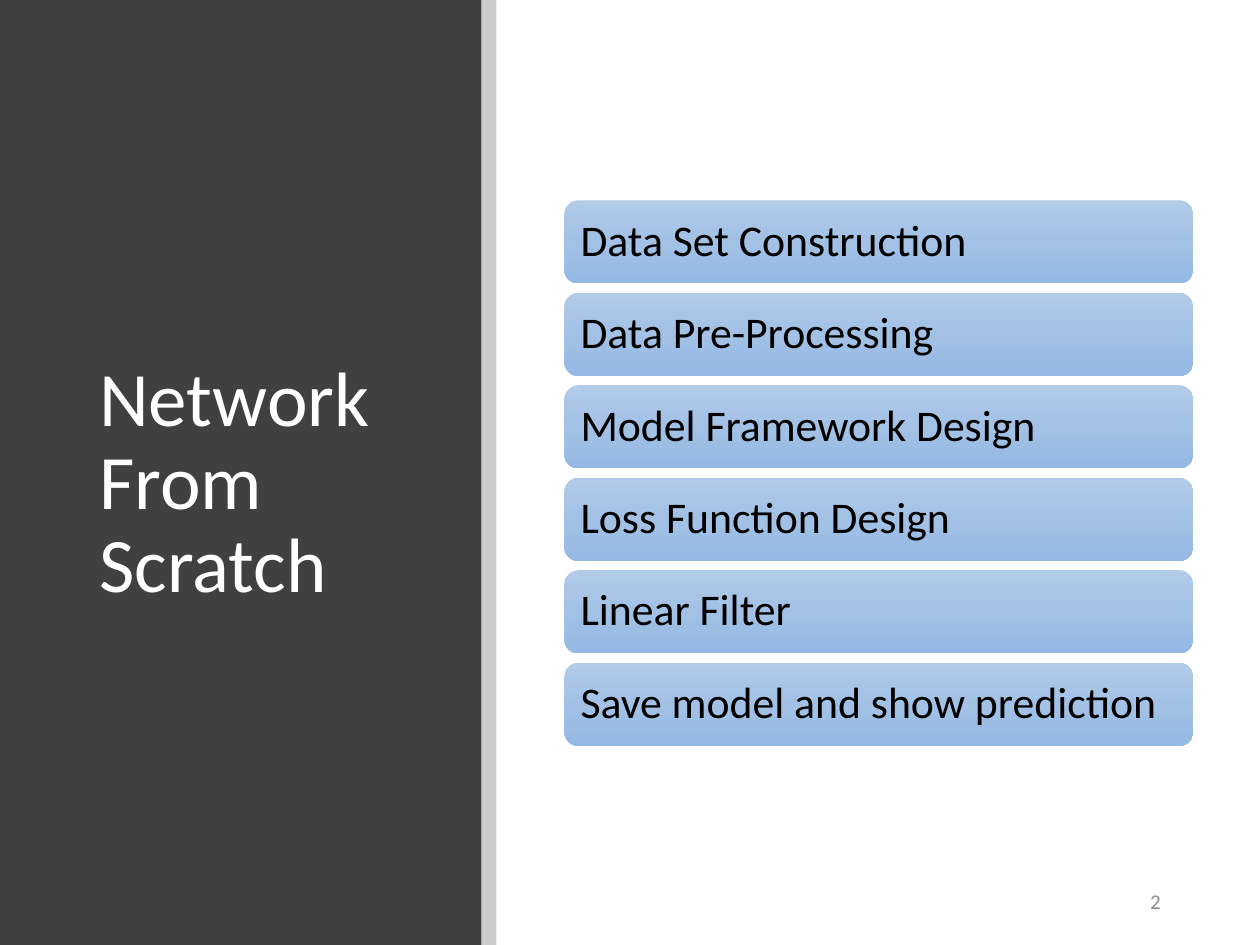
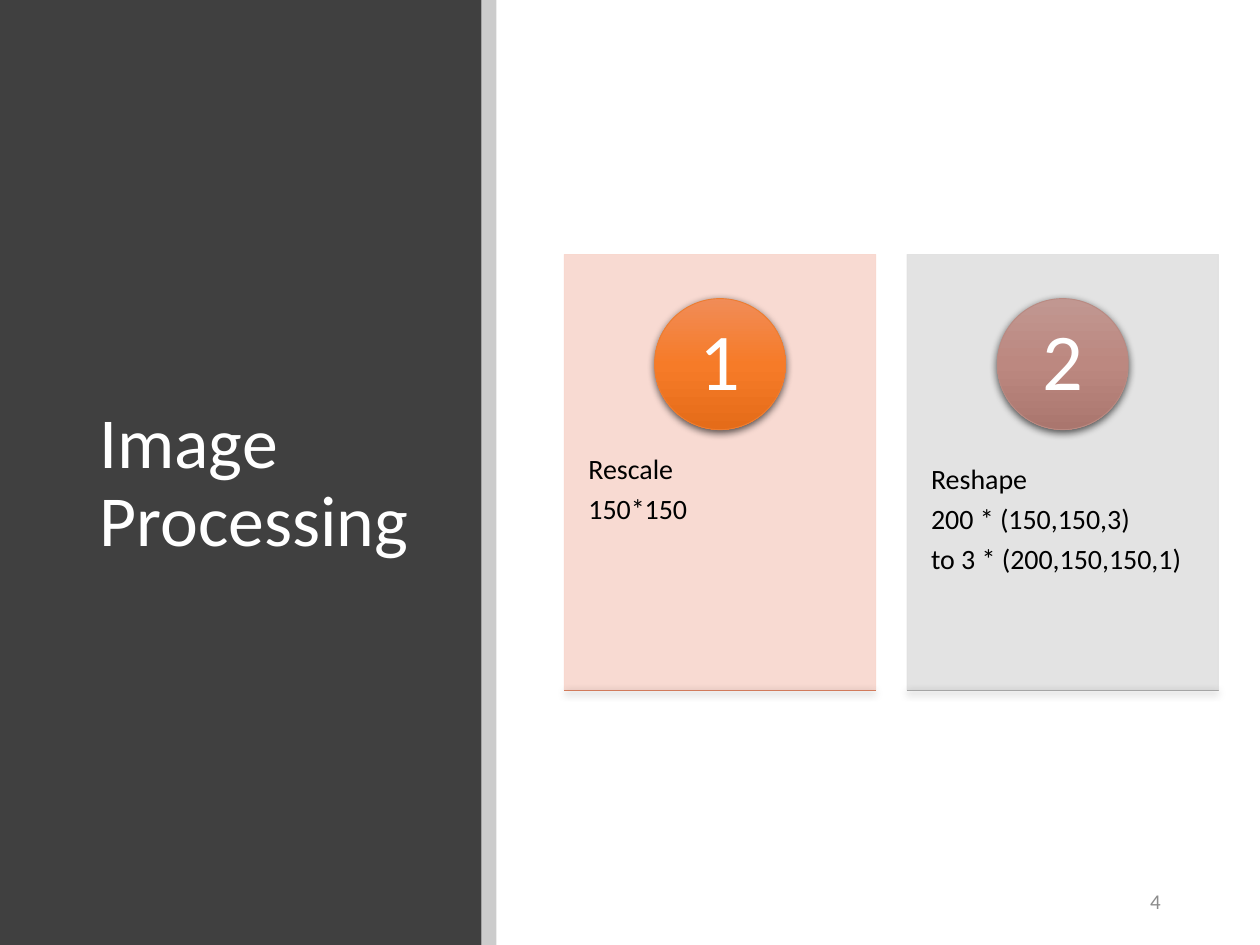
from lxml import etree
from pptx import Presentation
from pptx.dml.color import RGBColor
from pptx.enum.shapes import MSO_SHAPE
from pptx.enum.text import MSO_ANCHOR, PP_ALIGN
from pptx.oxml.ns import qn
from pptx.util import Inches, Pt

RECTANGLE, ROUNDED, OVAL = MSO_SHAPE.RECTANGLE, MSO_SHAPE.ROUNDED_RECTANGLE, MSO_SHAPE.OVAL
TOP, MIDDLE = MSO_ANCHOR.TOP, MSO_ANCHOR.MIDDLE
LEFT, CENTER, RIGHT = PP_ALIGN.LEFT, PP_ALIGN.CENTER, PP_ALIGN.RIGHT

FONT = "Calibri"
BLACK = RGBColor(0x00, 0x00, 0x00)
WHITE = RGBColor(0xFF, 0xFF, 0xFF)
PANEL = RGBColor(0x40, 0x40, 0x40)
NUMBER_GRAY = RGBColor(0x8C, 0x8C, 0x8C)
PEACH = RGBColor(0xF8, 0xD7, 0xCE)
LIGHT_GRAY = RGBColor(0xE1, 0xE1, 0xE1)
ORANGE = RGBColor(0xED, 0x7D, 0x31)
RUST = RGBColor(0xD1, 0x7B, 0x5C)
ROSE = RGBColor(0xB9, 0x8A, 0x82)
GRAY = RGBColor(0xA5, 0xA5, 0xA5)
BLUE_SHADES = [RGBColor.from_string(c) for c in ("B1CBE9", "A3C1E5", "93B9E4")]
ORANGE_SHADES = [RGBColor.from_string(c) for c in ("F18C57", "F67B28", "E56C19")]
RUST_SHADES = [RGBColor.from_string(c) for c in ("D78B72", "D77956", "C66846")]
ROSE_SHADES = [RGBColor.from_string(c) for c in ("C19791", "BC8880", "AA766E")]
GRAY_SHADES = [RGBColor.from_string(c) for c in ("AFAFAF", "A5A5A5", "939393")]

STEPS = [
    "Data Set Construction",
    "Data Pre-Processing",
    "Model Framework Design",
    "Loss Function Design",
    "Linear Filter",
    "Save model and show prediction",
]
CARDS = [
    {"number": "1", "lines": ["Rescale", "150*150"], "fill": PEACH,
     "circle": (ORANGE_SHADES, ORANGE), "base": (RUST_SHADES, RUST)},
    {"number": "2", "lines": ["Reshape", "200 * (150,150,3)", "to 3 * (200,150,150,1)"],
     "fill": LIGHT_GRAY, "circle": (ROSE_SHADES, ROSE), "base": (GRAY_SHADES, GRAY)},
]

SLIDE_WIDTH, SLIDE_HEIGHT = 10, 7.5
PANEL_WIDTH, STRIPE_WIDTH = 3.82, 0.12
CONTENT_LEFT = 4.48
BAR_WIDTH, BAR_HEIGHT, BAR_MARGIN = 4.99, 0.66, 0.03
BARS_TOP, BARS_BOTTOM = 1.59, 5.92
CARD_TOP, CARD_WIDTH, CARD_HEIGHT, CARD_GAP = 2.02, 2.47, 3.46, 0.25
CARD_TEXT_OFFSET, CARD_TEXT_HEIGHT = 0.38 * CARD_HEIGHT, 0.6 * CARD_HEIGHT
CIRCLE_SIZE, CIRCLE_OFFSET = 1.04, 0.35
CIRCLE_MARGIN = 0.15


def set_alpha(color_format_parent, percent):
    color = color_format_parent.find(".//" + qn("a:srgbClr"))
    etree.SubElement(color, qn("a:alpha")).set("val", str(percent * 1000))


def set_gradient(shape, shades):
    shape.fill.gradient()
    shape.fill.gradient_angle = 270
    stops = shape._element.spPr.find(".//" + qn("a:gsLst"))
    for stop in list(stops):
        stops.remove(stop)
    for index, shade in enumerate(shades):
        stop = etree.SubElement(stops, qn("a:gs"), pos=str(index * 50000))
        etree.SubElement(stop, qn("a:srgbClr"), val=str(shade))


def add_shadow(shape):
    effects = shape._element.spPr.find(qn("a:effectLst"))
    shadow = etree.SubElement(effects, qn("a:outerShdw"), blurRad=str(Pt(4.5)),
                              dist=str(Pt(1.5)), dir="5400000", algn="ctr", rotWithShape="0")
    etree.SubElement(shadow, qn("a:srgbClr"), val=str(BLACK))
    set_alpha(shadow, 63)


def add_block(slide, kind, box, fill, line=None, alpha=None, shadow=False):
    shape = slide.shapes.add_shape(kind, *map(Inches, box))
    shape.shadow.inherit = False
    if isinstance(fill, list):
        set_gradient(shape, fill)
    else:
        shape.fill.solid()
        shape.fill.fore_color.rgb = fill
    if line is None:
        shape.line.fill.background()
    else:
        shape.line.color.rgb = line
        shape.line.width = Pt(0.5)
    if alpha is not None:
        set_alpha(shape._element.spPr.find(qn("a:solidFill")), alpha)
        if line is not None:
            set_alpha(shape._element.spPr.find(qn("a:ln")), alpha)
    if shadow:
        add_shadow(shape)


def add_text(slide, box, lines, size, color, align=LEFT, anchor=MIDDLE,
             insets=(0.1, 0.05), spacing=0.9, after=0):
    text_frame = slide.shapes.add_textbox(*map(Inches, box)).text_frame
    text_frame.word_wrap = True
    text_frame.vertical_anchor = anchor
    text_frame.margin_left = text_frame.margin_right = Inches(insets[0])
    text_frame.margin_top = text_frame.margin_bottom = Inches(insets[1])
    text_frame.text = "\n".join(lines)
    for paragraph in text_frame.paragraphs:
        paragraph.alignment = align
        paragraph.line_spacing = spacing
        paragraph.space_after = Pt(size * after)
        for run in paragraph.runs:
            run.font.name = FONT
            run.font.size = Pt(size)
            run.font.color.rgb = color


def add_base_slide(presentation, title, title_size, title_width, number):
    slide = presentation.slides.add_slide(presentation.slide_layouts[6])
    add_block(slide, RECTANGLE, (0, 0, PANEL_WIDTH, SLIDE_HEIGHT), PANEL)
    add_text(slide, (0.69, 0.89, title_width, 5.91), [title], title_size, WHITE)
    add_block(slide, RECTANGLE, (PANEL_WIDTH, 0, STRIPE_WIDTH, SLIDE_HEIGHT), BLACK, alpha=20)
    add_text(slide, (7.06, 6.95, 2.25, 0.4), [number], 12, NUMBER_GRAY, RIGHT, spacing=1.0)
    return slide


def add_steps(slide):
    pitch = (BARS_BOTTOM - BARS_TOP - BAR_HEIGHT) / (len(STEPS) - 1)
    for index, step in enumerate(STEPS):
        top = BARS_TOP + index * pitch
        add_block(slide, ROUNDED, (CONTENT_LEFT, top, BAR_WIDTH, BAR_HEIGHT), BLUE_SHADES)
        text_box = (CONTENT_LEFT + BAR_MARGIN, top + BAR_MARGIN,
                    BAR_WIDTH - 2 * BAR_MARGIN, BAR_HEIGHT - 2 * BAR_MARGIN)
        add_text(slide, text_box, [step], 25, BLACK, insets=(0.1, 0.1), after=0.35)


def add_cards(slide):
    for index, card in enumerate(CARDS):
        left = CONTENT_LEFT + index * (CARD_WIDTH + CARD_GAP)
        add_block(slide, RECTANGLE, (left, CARD_TOP, CARD_WIDTH, CARD_HEIGHT),
                  card["fill"], card["fill"], alpha=90)
        add_text(slide, (left, CARD_TOP + CARD_TEXT_OFFSET, CARD_WIDTH, CARD_TEXT_HEIGHT),
                 card["lines"], 16, BLACK, anchor=TOP, insets=(0.19, 0.36), after=0.35)
        circle_left = left + (CARD_WIDTH - CIRCLE_SIZE) / 2
        circle_top = CARD_TOP + CIRCLE_OFFSET
        add_block(slide, OVAL, (circle_left, circle_top, CIRCLE_SIZE, CIRCLE_SIZE),
                  *card["circle"], shadow=True)
        number_size = CIRCLE_SIZE - 2 * CIRCLE_MARGIN
        add_text(slide, (circle_left + CIRCLE_MARGIN, circle_top + CIRCLE_MARGIN,
                         number_size, number_size),
                 [card["number"]], 46, WHITE, CENTER, insets=(0.08, 0.01), after=0.35)
        add_block(slide, RECTANGLE, (left, CARD_TOP + CARD_HEIGHT, CARD_WIDTH, 0),
                  *card["base"], shadow=True)


presentation = Presentation()
presentation.slide_width = Inches(SLIDE_WIDTH)
presentation.slide_height = Inches(SLIDE_HEIGHT)
add_steps(add_base_slide(presentation, "Network From Scratch", 44, 2.74, "2"))
add_cards(add_base_slide(presentation, "Image Processing", 41, 3.07, "4"))
presentation.save("out.pptx")
